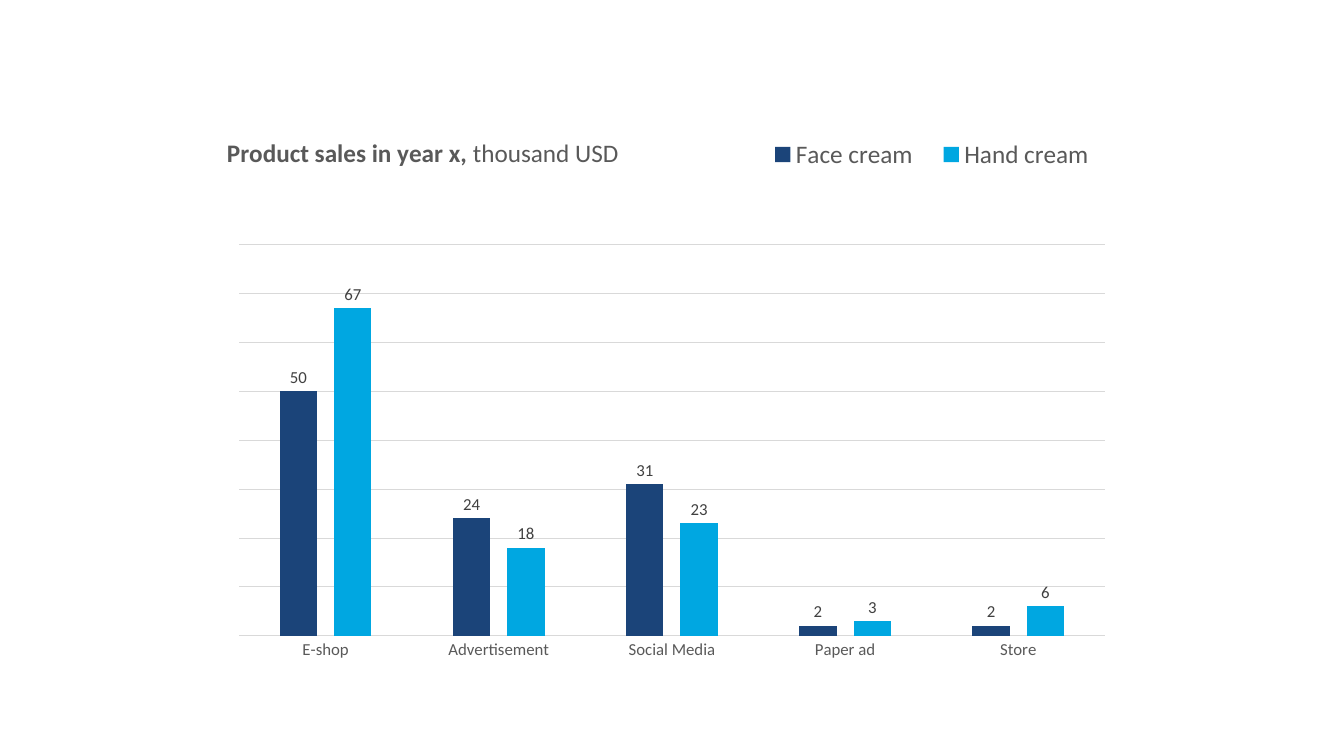
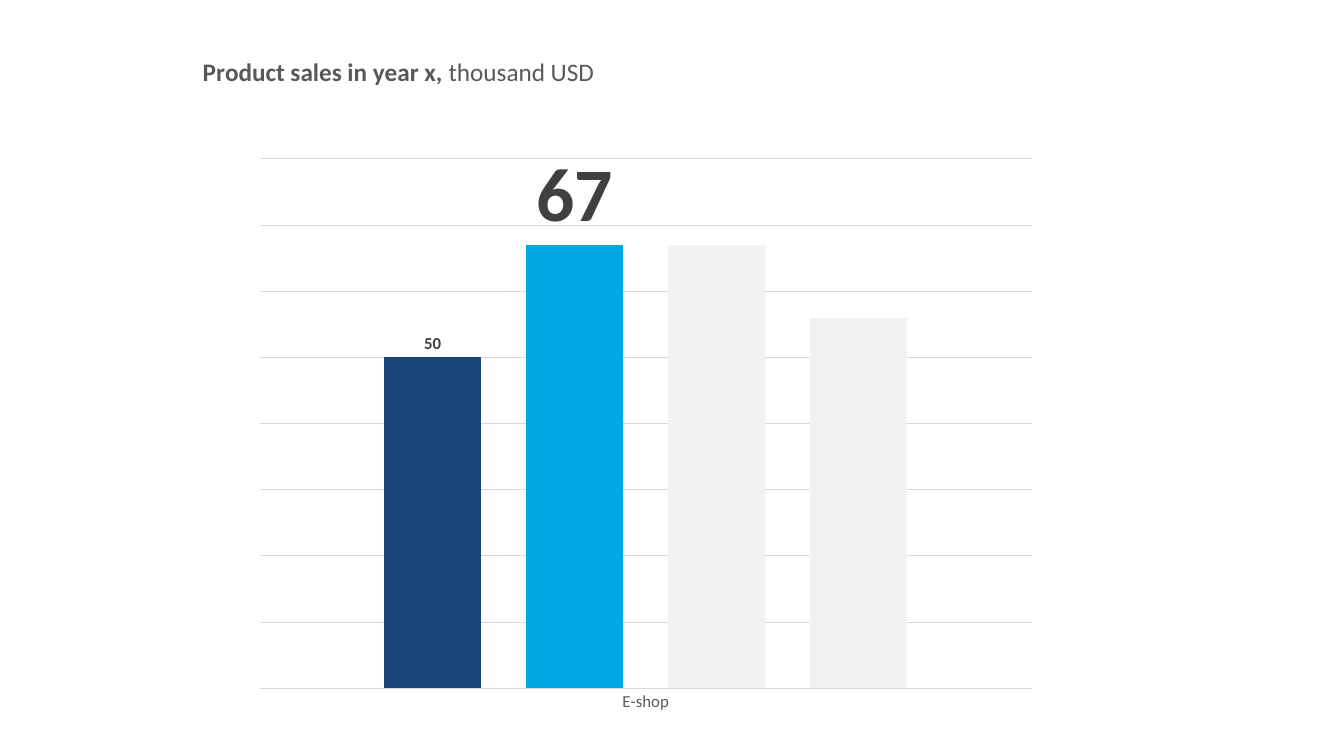
from lxml import etree
from pptx import Presentation
from pptx import util as u
from pptx.chart.data import CategoryChartData
from pptx.dml.color import RGBColor
from pptx.enum import chart as charts
from pptx.oxml.ns import qn

NAVY, SKY, PALE = "1B4479", "00A7E1", "F2F2F2"
GRAY, DARK, RULE = "595959", "404040", "D9D9D9"


def color(value):
    return RGBColor.from_string(value)


def set_attributes(target, **values):
    for name, value in values.items():
        setattr(target, name, value)


def set_layout(element, index, inner=False, **fractions):
    """Place a chart part by fractions of the chart area."""
    for old in element.findall(qn("c:layout")):
        element.remove(old)
    layout = etree.Element(qn("c:layout"))
    manual = etree.SubElement(layout, qn("c:manualLayout"))
    values = {"layoutTarget": "inner"} if inner else {}
    values.update(xMode="edge", yMode="edge", **fractions)
    for name, value in values.items():
        etree.SubElement(manual, qn(f"c:{name}")).set("val", str(value))
    element.insert(index, layout)


class Deck:
    font = "Calibri"

    def __init__(self):
        self.presentation = Presentation()
        set_attributes(self.presentation, slide_width=u.Inches(13.33),
                       slide_height=u.Inches(7.5))
        self.slide = None

    def add_slide(self):
        self.slide = self.presentation.slides.add_slide(
            self.presentation.slide_layouts[6])

    def style_font(self, font, size, ink, bold=False):
        set_attributes(font, name=self.font, size=u.Pt(size), bold=bold)
        font.color.rgb = color(ink)

    def style_line(self, line):
        line.width = u.Pt(0.75)
        line.color.rgb = color(RULE)

    def column_chart(self, box, categories, series, gap, overlap, plot_box):
        """Each series is (name, values, fill, label size or None, label bold)."""
        data = CategoryChartData()
        data.categories = categories
        for name, values, *_ in series:
            data.add_series(name, values)
        frame = self.slide.shapes.add_chart(
            charts.XL_CHART_TYPE.COLUMN_CLUSTERED, *map(u.Inches, box), data)
        chart = frame.chart
        chart.has_legend = False
        self.style_font(chart.font, 10, "000000")
        plot = chart.plots[0]
        set_attributes(plot, gap_width=gap, overlap=overlap, vary_by_categories=False)
        set_layout(plot._element.getparent(), 0, inner=True,
                   **dict(zip("xywh", plot_box)))
        for columns, (_, _, fill, size, bold) in zip(plot.series, series):
            columns.format.fill.solid()
            columns.format.fill.fore_color.rgb = color(fill)
            if size:
                labels = columns.data_labels
                set_attributes(labels, show_value=True,
                               position=charts.XL_LABEL_POSITION.OUTSIDE_END)
                self.style_font(labels.font, size, DARK, bold)
        self.axes(chart)
        return chart

    def axes(self, chart):
        no_tick = charts.XL_TICK_MARK.NONE
        set_attributes(chart.category_axis, major_tick_mark=no_tick,
                       minor_tick_mark=no_tick, has_major_gridlines=False)
        self.style_font(chart.category_axis.tick_labels.font, 12, GRAY)
        self.style_line(chart.category_axis.format.line)
        set_attributes(chart.value_axis, minimum_scale=0, maximum_scale=80,
                       major_unit=10, has_major_gridlines=True, visible=False)
        self.style_line(chart.value_axis.major_gridlines.format.line)

    def chart_title(self, chart, strong, plain):
        title = chart.chart_title
        paragraph = title.text_frame.paragraphs[0]
        for words, bold in ((strong, True), (plain, False)):
            run = paragraph.add_run()
            run.text = words
            self.style_font(run.font, 18, GRAY, bold)
        set_layout(title._element, 1, x=0, y=0)

    def legend(self, chart, **fractions):
        chart.has_legend = True
        set_attributes(chart.legend, position=charts.XL_LEGEND_POSITION.BOTTOM,
                       include_in_layout=False)
        self.style_font(chart.legend.font, 18, GRAY)
        set_layout(chart.legend._element, 1, **fractions)


def main():
    deck = Deck()
    title = ("Product sales in year x,", " thousand USD")

    # Sales by channel
    deck.add_slide()
    chart = deck.column_chart(
        (2.22, 1.32, 8.89, 5.33),
        ["E-shop", "Advertisement", "Social Media", "Paper ad", "Store"],
        [("Face cream", (50, 24, 31, 2, 2), NAVY, 12, False),
         ("Hand cream", (67, 18, 23, 3, 6), SKY, 12, False)],
        219, -46, (0.017, 0.208, 0.966, 0.728))
    deck.chart_title(chart, *title)
    deck.legend(chart, x=0.59, y=0, w=0.4, h=0.08)

    # E-shop highlight
    deck.add_slide()
    chart = deck.column_chart(
        (1.98, 0.52, 8.26, 6.82), ["E-shop"],
        [("Series 1", (50,), NAVY, 12, True),
         ("Series 2", (67,), SKY, 54, True),
         ("Series 3", (67,), PALE, None, False),
         ("Series 4", (56,), PALE, None, False)],
        258, -47, (0.072, 0.155, 0.928, 0.77))
    deck.chart_title(chart, *title)

    deck.presentation.save("out.pptx")


if __name__ == "__main__":
    main()
